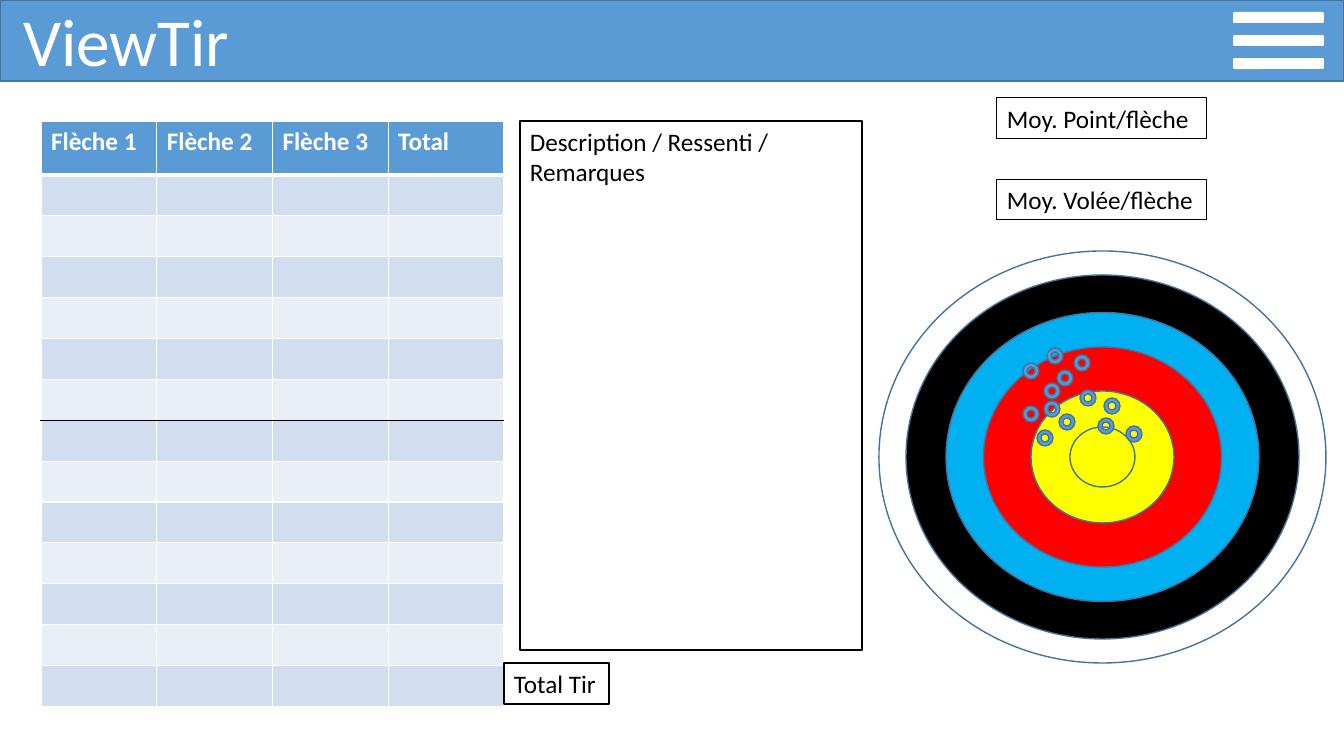
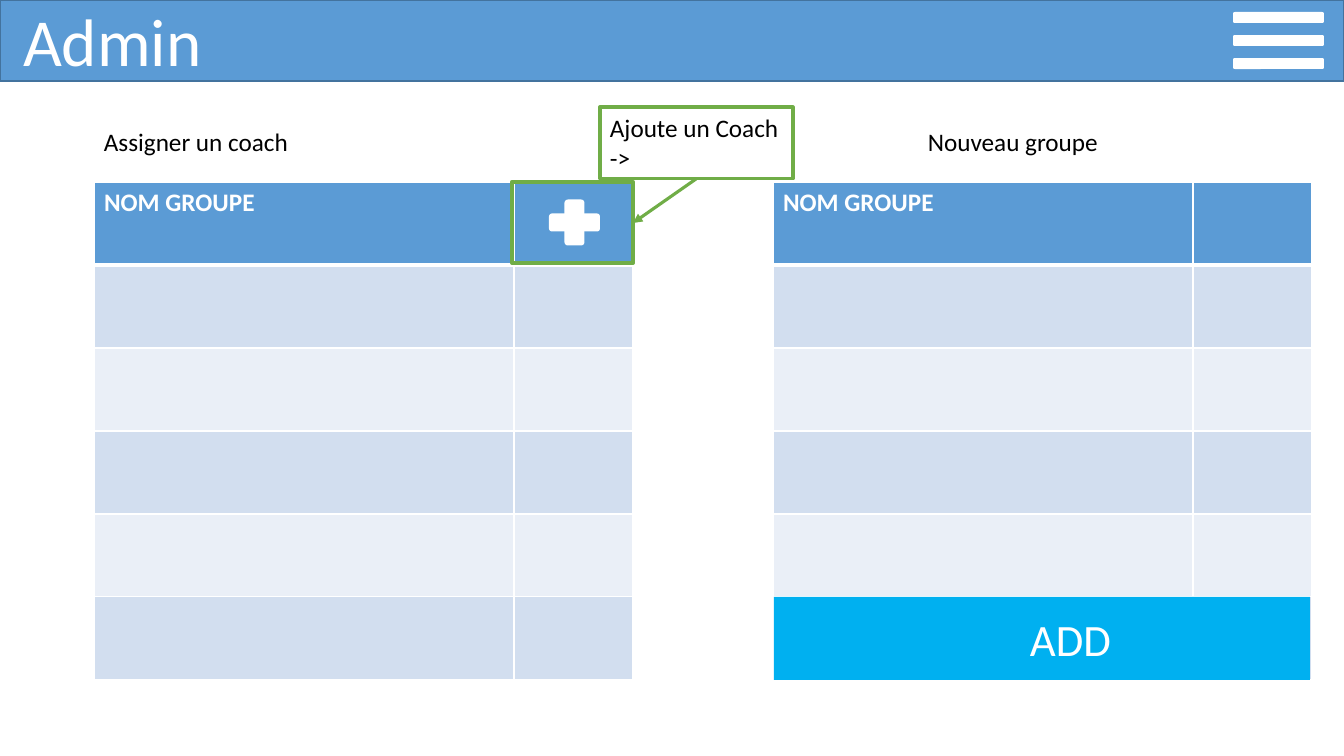
from lxml import etree
from pptx import Presentation
from pptx.dml.color import RGBColor
from pptx.enum.shapes import MSO_CONNECTOR, MSO_SHAPE
from pptx.enum.text import MSO_ANCHOR, PP_ALIGN
from pptx.oxml.ns import qn
from pptx.util import Emu, Pt

PX = 914400 / 100.8
FONT = "Calibri"
WHITE, BLACK = "FFFFFF", "000000"
BLUE, OUTLINE, SKY, GREEN = "5B9BD5", "43739E", "00B0F0", "70AD47"
BANDS = ("EAEFF7", "D2DEEF")


def px(*lengths):
    """Turn pixel lengths into EMU."""
    return [Emu(round(length * PX)) for length in lengths]


def rgb(value):
    """Turn a hex string into a colour."""
    return RGBColor.from_string(value)


def set_text(frame, text, size=18, color=BLACK, bold=False):
    """Write left-aligned text at the top of a text frame."""
    frame.word_wrap = True
    frame.vertical_anchor = MSO_ANCHOR.TOP
    frame.text = text
    paragraph = frame.paragraphs[0]
    paragraph.alignment = PP_ALIGN.LEFT
    paragraph.line_spacing = 1
    font = paragraph.runs[0].font
    font.name, font.size, font.bold = FONT, Pt(size), bold
    font.color.rgb = rgb(color)


def add_label(slide, box, text, size=18, color=BLACK):
    """Add a text box without outline."""
    set_text(slide.shapes.add_textbox(*px(*box)).text_frame, text, size, color)


def add_box(shapes, kind, box, fill=None, line=None, width=1, text=None):
    """Add a flat preset shape, filled, outlined or holding text as asked."""
    shape = shapes.add_shape(kind, *px(*box))
    shape.shadow.inherit = False
    if fill:
        shape.fill.solid()
        shape.fill.fore_color.rgb = rgb(fill)
    else:
        shape.fill.background()
    if line:
        shape.line.color.rgb = rgb(line)
        shape.line.width = Pt(width)
    else:
        shape.line.fill.background()
    if text:
        set_text(shape.text_frame, text)
    return shape


def add_arrow(slide, start, end, color, width):
    """Add a straight connector with a triangular head at its end."""
    arrow = slide.shapes.add_connector(MSO_CONNECTOR.STRAIGHT, *px(*start, *end))
    arrow.line.color.rgb = rgb(color)
    arrow.line.width = Pt(width)
    etree.SubElement(arrow.line._get_or_add_ln(), qn("a:tailEnd"), type="triangle")
    etree.SubElement(arrow._element.spPr, qn("a:effectLst"))


def set_border(cell, side, color, width):
    """Draw one border (L, R, T or B) of a table cell."""
    line = etree.SubElement(cell._tc.get_or_add_tcPr(), qn(f"a:ln{side}"), w=str(Pt(width)))
    fill = etree.SubElement(line, qn("a:solidFill"))
    etree.SubElement(fill, qn("a:srgbClr"), val=color)


def add_grid(slide, box, headers, column_widths, row_count, header_height, rule_row=None):
    """Add a banded table with a header; a black rule may run above rule_row."""
    table = slide.shapes.add_table(row_count, len(headers), *px(*box)).table
    for column, width in zip(table.columns, column_widths):
        column.width = px(width)[0]
    body_height = (box[3] - header_height) / (row_count - 1)
    edges = {1: (WHITE, 3), rule_row: (BLACK, 1)}
    for r, row in enumerate(table.rows):
        row.height = px(body_height if r else header_height)[0]
        for c, cell in enumerate(row.cells):
            for side in "LR":
                set_border(cell, side, WHITE, 1)
            for side, edge in (("T", r), ("B", r + 1)):
                set_border(cell, side, *edges.get(edge, (WHITE, 1)))
            cell.fill.solid()
            cell.fill.fore_color.rgb = rgb(BANDS[r % 2] if r else BLUE)
            if r == 0 and headers[c]:
                set_text(cell.text_frame, headers[c], color=WHITE, bold=True)


def add_page(prs, title):
    """Add a slide with the title band and the menu icon."""
    slide = prs.slides.add_slide(prs.slide_layouts[5])
    add_box(slide.shapes, MSO_SHAPE.RECTANGLE, (0, 0, 1344, 81), BLUE, OUTLINE)
    heading = slide.shapes.title
    heading.left, heading.top, heading.width, heading.height = px(13, -6, 395, 92)
    set_text(heading.text_frame, title, 48, WHITE)
    slide.shapes._spTree.append(heading._element)
    for bar in range(3):
        add_box(slide.shapes, MSO_SHAPE.ROUNDED_RECTANGLE, (1233, 12 + 23 * bar, 91, 11), WHITE)
    return slide


def add_target(slide, box):
    """Add the concentric rings of a target and the arrow hits on it."""
    left, top, width, height = box
    rings = [(width, height, None), (393, 364, BLACK), (313, 289, SKY),
             (238, 220, "FF0000"), (143, 132, "FFFF00"), (65, 60, "FFFF00")]
    group = slide.shapes.add_group_shape()
    for w, h, fill in rings:
        ring = (left + (width - w) / 2, top + (height - h) / 2, w, h)
        add_box(group.shapes, MSO_SHAPE.OVAL, ring, fill, OUTLINE)
    hits = [(195, 104), (219, 167), (201, 139), (168, 97), (158, 179), (165, 150), (178, 119),
            (144, 112), (225, 147), (165, 132), (144, 155), (180, 163), (247, 175)]
    for x, y in hits:
        add_box(slide.shapes, MSO_SHAPE.DONUT, (left + x, top + y, 16, 16), BLUE, OUTLINE)


def add_plus(slide, box):
    """Add a plus sign made of two rounded bars centred in a box."""
    left, top, width, height = box
    for w, h in ((20, 46), (51, 18)):
        bar = (left + (width - w) / 2, top + (height - h) / 2, w, h)
        add_box(slide.shapes, MSO_SHAPE.ROUNDED_RECTANGLE, bar, WHITE)


def build_shots(prs):
    """Build the slide with the scores, the remarks and the target."""
    slide = add_page(prs, "ViewTir")
    headers = ["Flèche 1", "Flèche 2", "Flèche 3", "Total"]
    add_grid(slide, (41, 121, 463, 581), headers, [115.75] * 4, 14, 54, rule_row=7)
    add_target(slide, (879, 251, 447, 412))
    notes = [((504, 663, 105, 41), 1, "Total Tir"),
             ((997, 98, 210, 41), 0.75, "Moy. Point/flèche"),
             ((520, 121, 342, 529), 1.5, "Description / Ressenti / Remarques"),
             ((997, 179, 210, 41), 0.75, "Moy. Volée/flèche")]
    for box, width, text in notes:
        add_box(slide.shapes, MSO_SHAPE.RECTANGLE, box, line=BLACK, width=width, text=text)


def build_admin(prs):
    """Build the slide with the two group tables."""
    slide = add_page(prs, "Admin")
    for x, text in ((94, "Assigner un coach"), (918, "Nouveau groupe")):
        add_label(slide, (x, 121, 315, 72), text)
    for x in (94, 773):
        add_grid(slide, (x, 182, 539, 498), ["NOM GROUPE", ""], [420, 119], 6, 83)
    plus_cell = (512, 182, 121, 81)
    add_plus(slide, (514, 182, 121, 81))
    add_box(slide.shapes, MSO_SHAPE.RECTANGLE, (774, 597, 536, 83), SKY)
    add_label(slide, (1020, 607, 111, 65), "ADD", 32, WHITE)
    add_box(slide.shapes, MSO_SHAPE.RECTANGLE, plus_cell, line=GREEN, width=3)
    add_box(slide.shapes, MSO_SHAPE.RECTANGLE, (600, 107, 193, 72), line=GREEN, width=2.25,
            text="Ajoute un Coach ->")
    add_arrow(slide, (696, 179), (633, 223), GREEN, 2.25)


def main():
    """Build and save the presentation."""
    prs = Presentation()
    prs.slide_width, prs.slide_height = px(1344, 756)
    build_shots(prs)
    build_admin(prs)
    prs.save("out.pptx")


main()
